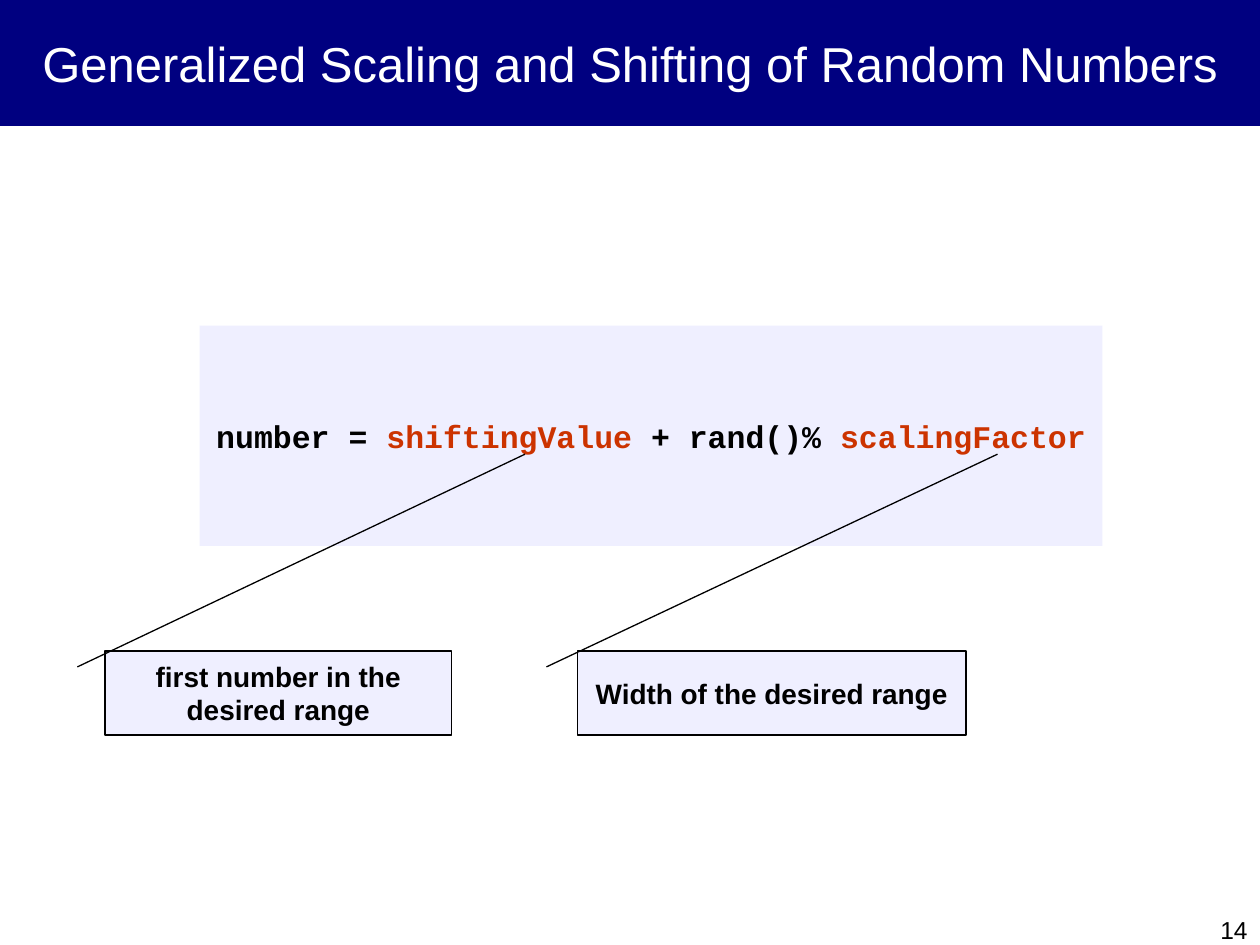
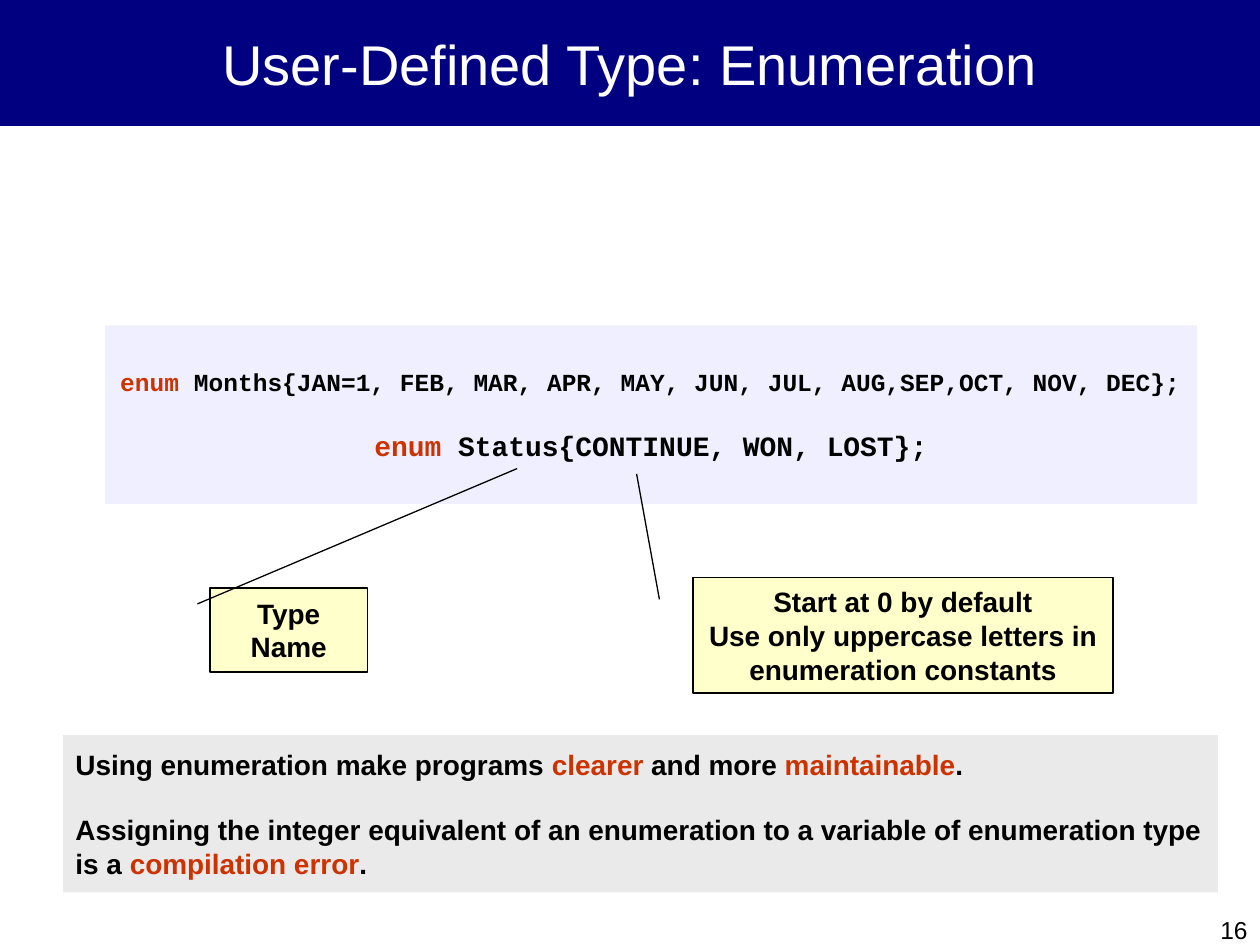
from pptx import Presentation
from pptx.dml.color import RGBColor
from pptx.enum.shapes import MSO_SHAPE
from pptx.enum.text import MSO_ANCHOR, PP_ALIGN
from pptx.util import Emu, Pt

PX = 9525
SLIDE_WIDTH, SLIDE_HEIGHT = 960, 720
BAND_HEIGHT = 96
NAVY, WHITE, BLACK = "000080", "FFFFFF", "000000"
ACCENT, LAVENDER, CREAM, GREY = "CC3300", "EFEFFF", "FFFFCC", "EAEAEA"
BODY_FONT, CODE_FONT = "Arial", "Courier New"
LEADER_START_Y, LEADER_START_X = 0.19, -0.08


def px(length):
    return Emu(length * PX)


def rgb(hex_color):
    return RGBColor.from_string(hex_color)


def write(frame, lines, sizes, font=BODY_FONT, color=BLACK, bold=True,
          align=PP_ALIGN.CENTER, gap=0, wrap=True):
    """Write one paragraph per line; words between asterisks take the accent colour."""
    frame.word_wrap = wrap
    frame.vertical_anchor = MSO_ANCHOR.MIDDLE
    for index, (line, size) in enumerate(zip(lines, sizes)):
        paragraph = frame.add_paragraph() if index else frame.paragraphs[0]
        paragraph.alignment = align
        if index:
            paragraph.space_before = Pt(gap)
        for part, words in enumerate(line.split("*")):
            if not words:
                continue
            run = paragraph.add_run()
            run.text = words
            run.font.name = font
            run.font.size = Pt(size)
            run.font.bold = bold
            run.font.color.rgb = rgb(ACCENT if part % 2 else color)


def add_panel(slide, box, fill, preset=MSO_SHAPE.RECTANGLE):
    panel = slide.shapes.add_shape(preset, *map(px, box))
    panel.shadow.inherit = False
    panel.fill.solid()
    panel.fill.fore_color.rgb = rgb(fill)
    panel.line.fill.background()
    return panel


def add_code(slide, box, lines, sizes, gap=0):
    panel = add_panel(slide, box, LAVENDER)
    write(panel.text_frame, lines, sizes, CODE_FONT, gap=gap, wrap=False)


def add_callout(slide, box, tip, lines, fill):
    """Add a bordered note whose leader line ends at the point tip."""
    left, top, width, height = box
    callout = add_panel(slide, box, fill, MSO_SHAPE.LINE_CALLOUT_1)
    callout.line.color.rgb = rgb(BLACK)
    callout.line.width = Pt(0.75)
    leader = (LEADER_START_Y, LEADER_START_X,
              (tip[1] - top) / height, (tip[0] - left) / width)
    for index, value in enumerate(leader):
        callout.adjustments[index] = value
    write(callout.text_frame, lines, [16] * len(lines))


def add_slide(deck, title, title_size, number):
    """Add a blank slide with the shared title band and slide number."""
    slide = deck.slides.add_slide(deck.slide_layouts[6])
    footer = slide.shapes.add_textbox(px(480), px(696), px(480), px(24))
    write(footer.text_frame, [number], [14], bold=False, align=PP_ALIGN.RIGHT)
    band = add_panel(slide, (0, 0, SLIDE_WIDTH, BAND_HEIGHT), NAVY)
    write(band.text_frame, [title], [title_size], color=WHITE, bold=False)
    return slide


def build_random_numbers(deck):
    slide = add_slide(deck, "Generalized Scaling and Shifting of Random Numbers", 28, "14")
    add_code(slide, (152, 248, 688, 168),
             ["number = *shiftingValue* + rand()% *scalingFactor*"], [18])
    add_callout(slide, (80, 496, 264, 64), (400, 346),
                ["first number in the desired range"], LAVENDER)
    add_callout(slide, (440, 496, 296, 64), (760, 346),
                ["Width of the desired range"], LAVENDER)


def build_enumeration(deck):
    slide = add_slide(deck, "User-Defined Type: Enumeration", 32, "16")
    add_code(slide, (80, 248, 832, 136),
             ["*enum *Months{JAN=1, FEB, MAR, APR, MAY, JUN, JUL, AUG,SEP,OCT, NOV, DEC};",
              "*enum* Status{CONTINUE, WON, LOST};"], [14, 16], gap=18)
    add_callout(slide, (528, 440, 320, 88), (485, 361),
                ["Start at 0 by default",
                 "Use only uppercase letters in enumeration constants"], CREAM)
    add_callout(slide, (160, 448, 120, 64), (394, 357), ["Type Name"], CREAM)
    advice = add_panel(slide, (48, 560, 880, 120), GREY)
    write(advice.text_frame,
          ["Using enumeration make programs *clearer* and more *maintainable*.",
           "Assigning the integer equivalent of an enumeration to a variable of "
           "enumeration type is a *compilation error*."],
          [16, 16], align=PP_ALIGN.LEFT, gap=18)


def main():
    deck = Presentation()
    deck.slide_width, deck.slide_height = px(SLIDE_WIDTH), px(SLIDE_HEIGHT)
    build_random_numbers(deck)
    build_enumeration(deck)
    deck.save("out.pptx")


if __name__ == "__main__":
    main()
